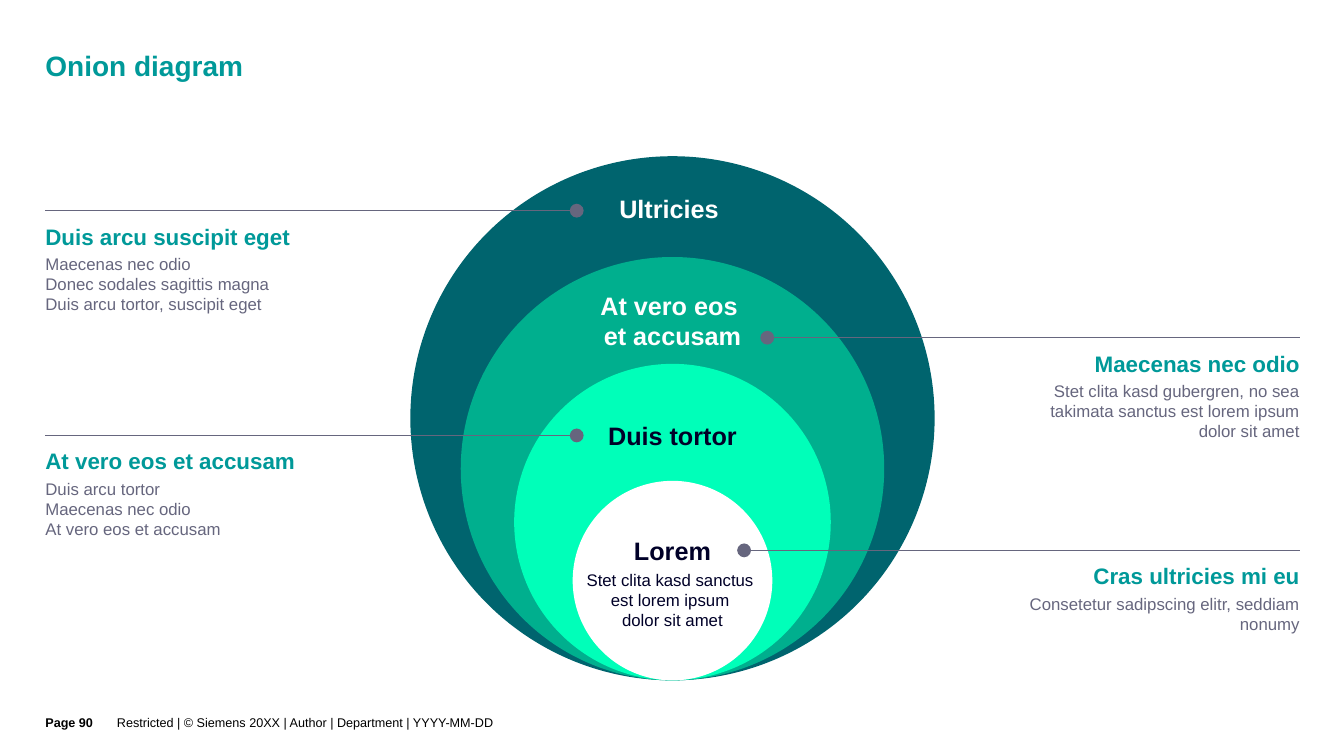
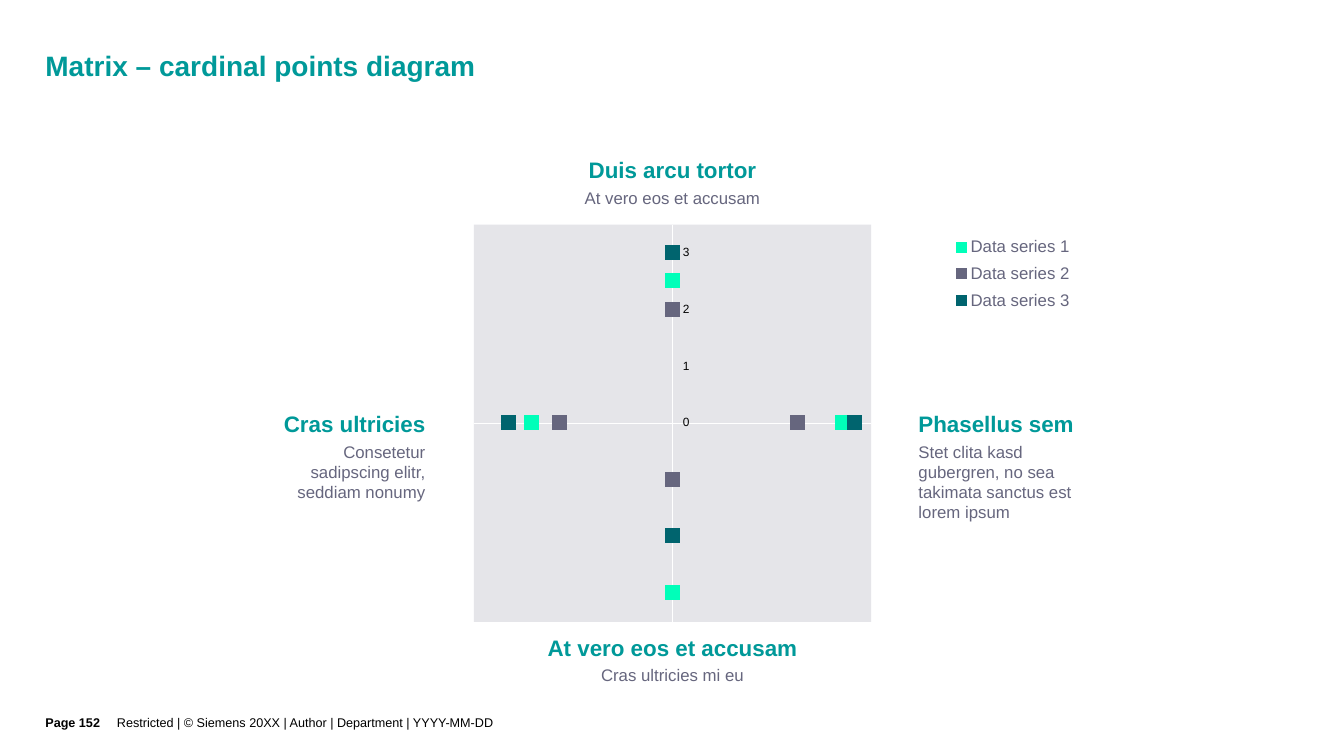
from copy import deepcopy

from lxml import etree
from pptx import Presentation
from pptx.chart import data as cd
from pptx.dml.color import RGBColor
from pptx.enum import chart as ch, shapes as sh, text as tx
from pptx.oxml import ns
from pptx.util import Inches, Pt

TEAL = RGBColor(0x00, 0x99, 0x99)
PETROL = RGBColor(0x00, 0x64, 0x6E)
GREEN = RGBColor(0x00, 0xAF, 0x8E)
MINT = RGBColor(0x00, 0xFF, 0xB9)
NAVY = RGBColor(0x00, 0x00, 0x28)
SLATE = RGBColor(0x66, 0x66, 0x7E)
PALE = RGBColor(0xE5, 0xE5, 0xE9)
WHITE = RGBColor(0xFF, 0xFF, 0xFF)
BLACK = RGBColor(0x00, 0x00, 0x00)

FACE = "Arial"
LEFT, CENTER, RIGHT = tx.PP_ALIGN.LEFT, tx.PP_ALIGN.CENTER, tx.PP_ALIGN.RIGHT
TOP, MIDDLE = tx.MSO_ANCHOR.TOP, tx.MSO_ANCHOR.MIDDLE
EDGE, FAR, MID = 0.45, 12.89, 6.67
FOOT = "Restricted | © Siemens 20XX | Author | Department | YYYY-MM-DD"


def set_font(font, size, color, bold=False):
    look = {"name": FACE, "size": Pt(size), "bold": bold}
    for key, value in look.items():
        setattr(font, key, value)
    font.color.rgb = color


def set_frame(frame, inset, anchor=TOP):
    sides = ("margin_left", "margin_top", "margin_right", "margin_bottom")
    look = {side: Inches(gap) for side, gap in zip(sides, inset)}
    look |= {"word_wrap": True, "vertical_anchor": anchor,
             "auto_size": tx.MSO_AUTO_SIZE.NONE}
    for key, value in look.items():
        setattr(frame, key, value)


def add_text(slide, at, parts, inset=(0, 0, 0, 0), anchor=TOP, align=LEFT):
    """Add a text box; each part is (words, size, color, bold)."""
    frame = slide.shapes.add_textbox(*map(Inches, at)).text_frame
    set_frame(frame, inset, anchor)
    for index, (words, *style) in enumerate(parts):
        para = frame.add_paragraph() if index else frame.paragraphs[0]
        para.text = words
        para.alignment = align
        if index:
            para.space_before = Pt(3)
        for run in para.runs:
            set_font(run.font, *style)
        # A line break needs the run's size, or its line grows too tall
        for brk in para._p.findall(ns.qn("a:br")):
            brk.append(deepcopy(para.runs[0]._r.rPr))


def add_note(slide, at, head, body, inset, align=LEFT):
    parts = [(head, 16, TEAL, True), (body, 12, SLATE)]
    add_text(slide, at, parts, inset, align=align)


def add_form(shapes, kind, at, color):
    form = shapes.add_shape(kind, *map(Inches, at))
    form.shadow.inherit = False
    form.fill.solid()
    form.fill.fore_color.rgb = color
    form.line.fill.background()


def add_line(shapes, ends, color, dot=False):
    line = shapes.add_connector(sh.MSO_CONNECTOR.STRAIGHT, *map(Inches, ends))
    line.line.color.rgb = color
    line.line.width = Pt(1)
    if dot:
        etree.SubElement(line.line._get_or_add_ln(), ns.qn("a:tailEnd"),
                         type="oval", w="lg", len="lg")
    etree.SubElement(line._element.spPr, ns.qn("a:effectLst"))


def add_slide(deck, title, page):
    slide = deck.slides.add_slide(deck.slide_layouts[5])
    head = slide.shapes.title
    head.left, head.top, head.width, head.height = map(
        Inches, (EDGE, 0.52, 10.79, 0.63))
    set_frame(head.text_frame, (0, 0, 0.35, 0.02))
    para = head.text_frame.paragraphs[0]
    para.text = title
    para.alignment = LEFT
    para.line_spacing = 0.9
    set_font(para.runs[0].font, 20, TEAL, True)
    for left, width, words, bold in ((1.16, 10.08, FOOT, False),
                                     (EDGE, 0.71, f"Page {page}", True)):
        add_text(slide, (left, 6.9, width, 0.6), [(words, 9, BLACK, bold)],
                 (0, 0, 0, 0.07), MIDDLE)
    return slide


def draw_onion(slide):
    base = 6.75
    for size, color in ((5.2, PETROL), (4.2, GREEN), (3.14, MINT), (1.98, WHITE)):
        add_form(slide.shapes, sh.MSO_SHAPE.OVAL,
                 (MID - size / 2, base - size, size, size), color)

    wide = 1.98
    left = MID - wide / 2
    for top, high, words, color in (
            (1.92, 0.3, "Ultricies ", WHITE),
            (2.87, 0.61, "At vero eos \net accusam", WHITE),
            (4.17, 0.3, "Duis tortor", NAVY)):
        add_text(slide, (left, top, wide, high), [(words, 18, color, True)],
                 anchor=MIDDLE, align=CENTER)
    core = [("Lorem", 18, NAVY, True),
            ("Stet clita kasd sanctus \nest lorem ipsum \ndolor sit amet", 12, NAVY)]
    add_text(slide, (left, 5.31, wide, 0.95), core, align=CENTER)

    wide = 2.75
    for align, top, tip, head, body in (
            (LEFT, 2.09, 5.72, "Duis arcu suscipit eget",
             "Maecenas nec odio\nDonec sodales sagittis magna\n"
             "Duis arcu tortor, suscipit eget"),
            (LEFT, 4.32, 5.72, "At vero eos et accusam",
             "Duis arcu tortor\nMaecenas nec odio\nAt vero eos et accusam"),
            (RIGHT, 3.35, 7.61, "Maecenas nec odio",
             "Stet clita kasd gubergren, no sea takimata sanctus est "
             "lorem ipsum dolor sit amet"),
            (RIGHT, 5.46, 7.38, "Cras ultricies mi eu",
             "Consetetur sadipscing elitr, seddiam nonumy")):
        start, left = (EDGE, EDGE) if align == LEFT else (FAR, FAR - wide)
        add_line(slide.shapes, (start, top, tip, top), SLATE, dot=True)
        add_note(slide, (left, top, wide, 1.18), head, body,
                 (0, 0.12, 0, 0.12), align)


def set_place(node, index, spot, inner=False):
    """Give a chart part a fixed place, in fractions of the chart."""
    for old in node.findall(ns.qn("c:layout")):
        node.remove(old)
    outer = etree.Element(ns.qn("c:layout"))
    node.insert(index, outer)
    hand = etree.SubElement(outer, ns.qn("c:manualLayout"))
    rules = [("layoutTarget", "inner")] if inner else []
    rules += [("xMode", "edge"), ("yMode", "edge"), *zip("xywh", spot)]
    for tag, value in rules:
        etree.SubElement(hand, ns.qn(f"c:{tag}"), val=str(value))


def add_radar(slide, at):
    data = cd.CategoryChartData()
    data.categories = ["1", "2", "3", "4"]
    rows = (((2.5, 3, 3, 2.5), MINT), ((2, 2.2, 1, 2), SLATE),
            ((3, 3.2, 2, 2.9), PETROL))
    for index, (values, _) in enumerate(rows, 1):
        data.add_series(f"Data series {index}", values)
    chart = slide.shapes.add_chart(ch.XL_CHART_TYPE.RADAR_MARKERS,
                                   *map(Inches, at), data).chart
    set_font(chart.font, 12, BLACK)
    chart.has_title = False
    for line, (_, color) in zip(chart.plots[0].series, rows):
        line.smooth = False
        line.format.line.fill.background()
        mark = line.marker
        mark.style, mark.size = ch.XL_MARKER_STYLE.SQUARE, 10
        mark.format.fill.solid()
        mark.format.fill.fore_color.rgb = color
        mark.format.line.fill.background()

    ring, scale = chart.category_axis, chart.value_axis
    for axis in (ring, scale):
        axis.has_major_gridlines = False
        axis.format.line.fill.background()
    ring.tick_label_position = ch.XL_TICK_LABEL_POSITION.NONE
    look = {"minimum_scale": 0, "maximum_scale": 3.5, "major_unit": 1,
            "major_tick_mark": ch.XL_TICK_MARK.CROSS,
            "tick_label_position": ch.XL_TICK_LABEL_POSITION.HIGH}
    for key, value in look.items():
        setattr(scale, key, value)
    set_font(scale.tick_labels.font, 8.5, BLACK)

    chart.has_legend = True
    key = chart.legend
    key.position = ch.XL_LEGEND_POSITION.RIGHT
    key.include_in_layout = False
    set_font(key.font, 12, SLATE)
    set_place(key._element, 1, (0.58, 0.14, 0.17, 0.17))
    set_place(chart._chartSpace.chart.plotArea, 0,
              (0.037, 0.13, 0.463, 0.758), inner=True)


def draw_matrix(slide):
    left, top, side = 4.7, 2.23, 1.97
    grid = slide.shapes.add_group_shape().shapes
    for row in range(2):
        for col in range(2):
            add_form(grid, sh.MSO_SHAPE.RECTANGLE,
                     (left + col * side, top + row * side, side, side), PALE)
    wide = 2 * side
    add_line(grid, (left, top + side, left + wide, top + side), WHITE)
    add_line(grid, (left + side, top, left + side, top + wide), WHITE)
    add_radar(slide, (4.39, 1.55, 8.51, 5.19))

    for at, inset, align, head, body in (
            ((left, 1.55, wide, 0.53), (0, 0, 0, 0.08), CENTER,
             "Duis arcu tortor", "At vero eos et accusam"),
            ((2.65, 4.07, 1.73, 1.1), (0, 0, 0.16, 0), RIGHT,
             "Cras ultricies", "Consetetur sadipscing elitr, seddiam nonumy"),
            ((8.95, 4.07, 1.73, 1.1), (0.16, 0, 0, 0), LEFT, "Phasellus sem",
             "Stet clita kasd gubergren, no sea takimata sanctus est lorem ipsum"),
            ((left, 6.21, wide, 0.53), (0, 0.08, 0, 0), CENTER,
             "At vero eos et accusam", "Cras ultricies mi eu")):
        add_note(slide, at, head, body, inset, align)


def main():
    deck = Presentation()
    deck.slide_width, deck.slide_height = Inches(13.33), Inches(7.5)
    draw_onion(add_slide(deck, "Onion diagram", 90))
    draw_matrix(add_slide(deck, "Matrix – cardinal points diagram", 152))
    deck.save("out.pptx")


if __name__ == "__main__":
    main()
